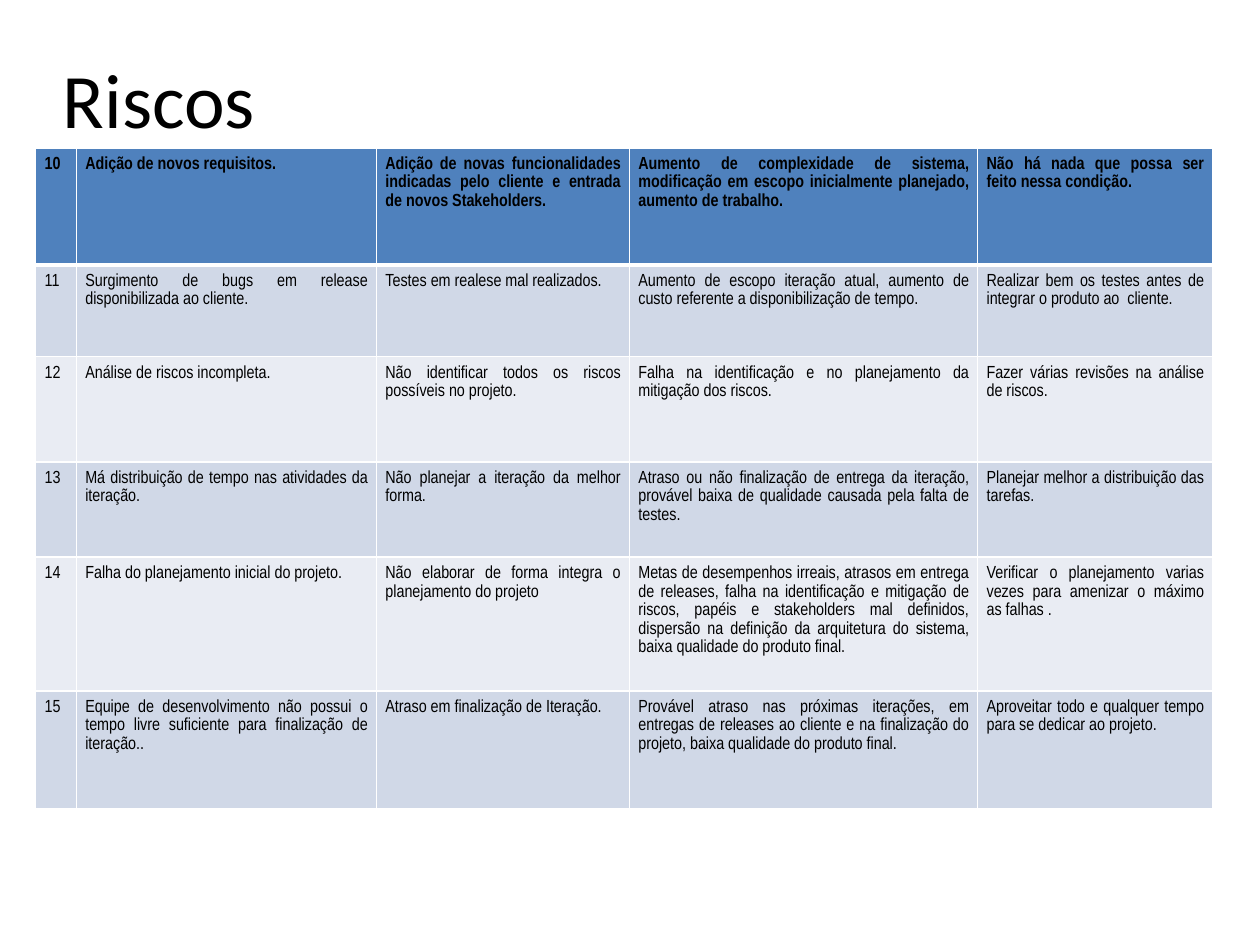
from lxml import etree
from pptx import Presentation
from pptx.dml.color import RGBColor
from pptx.enum.text import MSO_ANCHOR, PP_ALIGN
from pptx.oxml.ns import qn
from pptx.util import Cm, Pt

MIDDLE = MSO_ANCHOR.MIDDLE
LEFT, JUSTIFY = PP_ALIGN.LEFT, PP_ALIGN.JUSTIFY
BLACK = RGBColor(0x00, 0x00, 0x00)
WHITE = RGBColor(0xFF, 0xFF, 0xFF)
HEADER_BLUE = RGBColor(0x4F, 0x81, 0xBD)
BAND_DARK = RGBColor(0xD0, 0xD8, 0xE7)
BAND_LIGHT = RGBColor(0xE9, 0xEC, 0xF3)

COLUMN_WIDTHS = [0.82, 6.05, 5.1, 7.02, 4.74]
ROW_HEIGHTS = [2.36, 1.85, 2.12, 1.92, 2.57, 2.38]
FIRST_RISK = 10
RISKS = [
    ["Adição de novos requisitos.",
     "Adição de novas funcionalidades indicadas pelo cliente e entrada de novos Stakeholders.",
     "Aumento de complexidade de sistema, modificação em escopo inicialmente planejado, aumento de trabalho.",
     "Não há nada que possa ser feito nessa condição."],
    ["Surgimento de bugs em release disponibilizada ao cliente.",
     "Testes em realese mal realizados.",
     "Aumento de escopo iteração atual, aumento de custo referente a disponibilização de tempo.",
     "Realizar bem os testes antes de integrar o produto ao  cliente."],
    ["Análise de riscos incompleta.",
     "Não identificar todos os riscos possíveis no projeto.",
     "Falha na identificação e no planejamento da mitigação dos riscos.",
     "Fazer várias revisões na análise de riscos."],
    ["Má distribuição de tempo nas atividades da iteração.",
     "Não planejar a iteração da melhor forma.",
     "Atraso ou não finalização de entrega da iteração, provável baixa de qualidade causada pela falta de testes.",
     "Planejar melhor a distribuição das tarefas."],
    ["Falha do planejamento inicial do projeto.",
     "Não elaborar de forma integra o planejamento do projeto",
     "Metas de desempenhos irreais, atrasos em entrega de releases, falha na identificação e mitigação de riscos, "
     "papéis e stakeholders mal definidos, dispersão na definição da arquitetura do sistema, "
     "baixa qualidade do produto final.",
     "Verificar o planejamento varias vezes para amenizar o máximo as falhas ."],
    ["Equipe de desenvolvimento não possui o tempo livre suficiente para finalização de iteração..",
     "Atraso em finalização de Iteração.",
     "Provável atraso nas próximas iterações, em entregas de releases ao cliente e na finalização do projeto, "
     "baixa qualidade do produto final.",
     "Aproveitar todo e qualquer tempo para se dedicar ao projeto."],
]


def add_span(para, text, font_name, size, bold=False):
    span = para.add_run()
    span.text = text
    span.font.name = font_name
    span.font.size = Pt(size)
    span.font.bold = bold
    span.font.color.rgb = BLACK


def add_border(cell, side, width):
    properties = cell._tc.get_or_add_tcPr()
    line = etree.SubElement(properties, qn(f"a:ln{side}"), w=str(Pt(width)))
    fill = etree.SubElement(line, qn("a:solidFill"))
    etree.SubElement(fill, qn("a:srgbClr"), val=str(WHITE))


deck = Presentation()
deck.slide_width = Cm(25.4)
deck.slide_height = Cm(19.05)
page = deck.slides.add_slide(deck.slide_layouts[6])

title_box = page.shapes.add_textbox(Cm(1.27), Cm(1.02), Cm(22.86), Cm(1.9))
title_frame = title_box.text_frame
title_frame.word_wrap = True
title_frame.vertical_anchor = MIDDLE
title_frame.margin_left = title_frame.margin_right = 0
title_frame.margin_top = title_frame.margin_bottom = 0
add_span(title_frame.paragraphs[0], "Riscos", "Calibri", 44)

risk_table = page.shapes.add_table(
    len(ROW_HEIGHTS), len(COLUMN_WIDTHS), Cm(0.72), Cm(2.98),
    Cm(sum(COLUMN_WIDTHS)), Cm(sum(ROW_HEIGHTS))).table
for column, width in zip(risk_table.columns, COLUMN_WIDTHS):
    column.width = Cm(width)
for row, height in zip(risk_table.rows, ROW_HEIGHTS):
    row.height = Cm(height)

for row_index, risk in enumerate(RISKS):
    is_header = row_index == 0
    band = BAND_DARK if row_index % 2 else BAND_LIGHT
    for column_index, text in enumerate([str(FIRST_RISK + row_index)] + risk):
        cell = risk_table.cell(row_index, column_index)
        cell.margin_left = cell.margin_right = Cm(0.18)
        cell.margin_top = cell.margin_bottom = Cm(0.13)
        add_border(cell, "L", 0.96)
        add_border(cell, "R", 0.96)
        add_border(cell, "T", 3 if row_index == 1 else 0.96)
        add_border(cell, "B", 3 if is_header else 0.96)
        cell.fill.solid()
        cell.fill.fore_color.rgb = HEADER_BLUE if is_header else band
        para = cell.text_frame.paragraphs[0]
        para.alignment = JUSTIFY if column_index else LEFT
        para.line_spacing = 1.15
        add_span(para, text, "Arial Narrow", 10, is_header)

deck.save("out.pptx")
